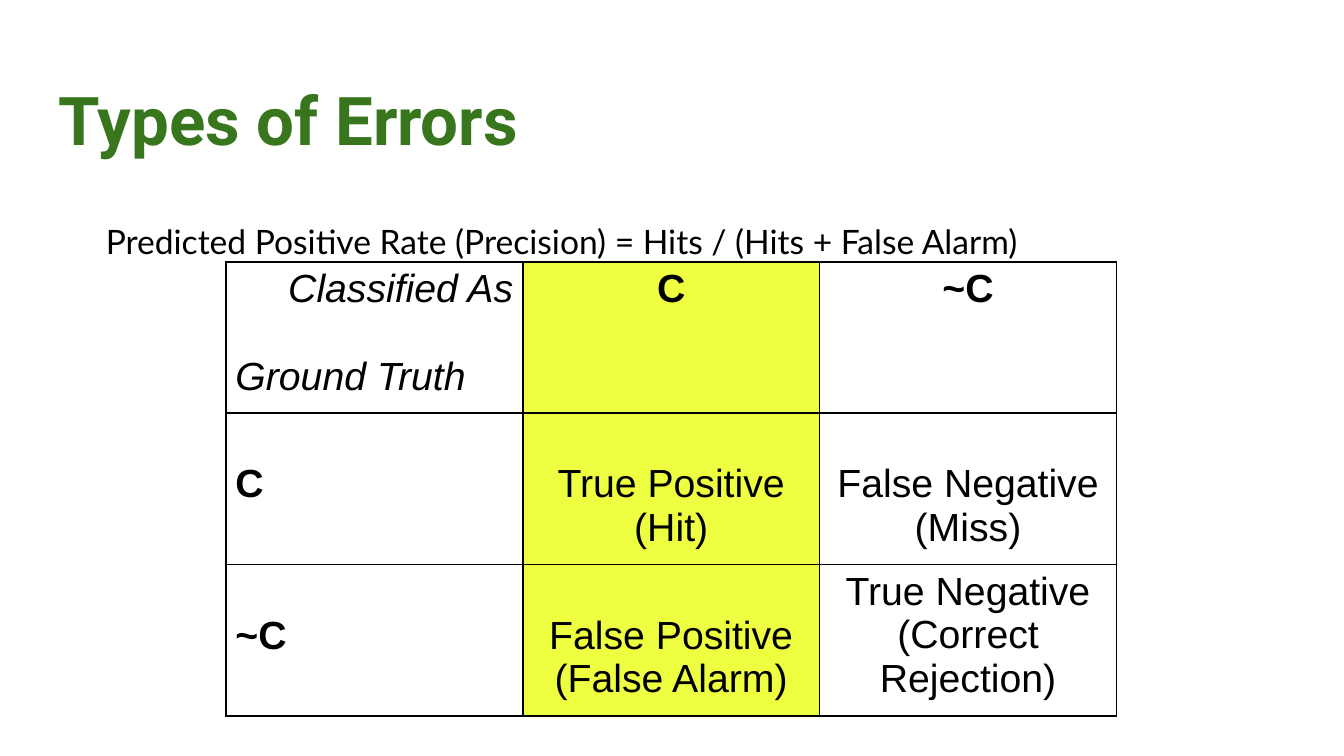
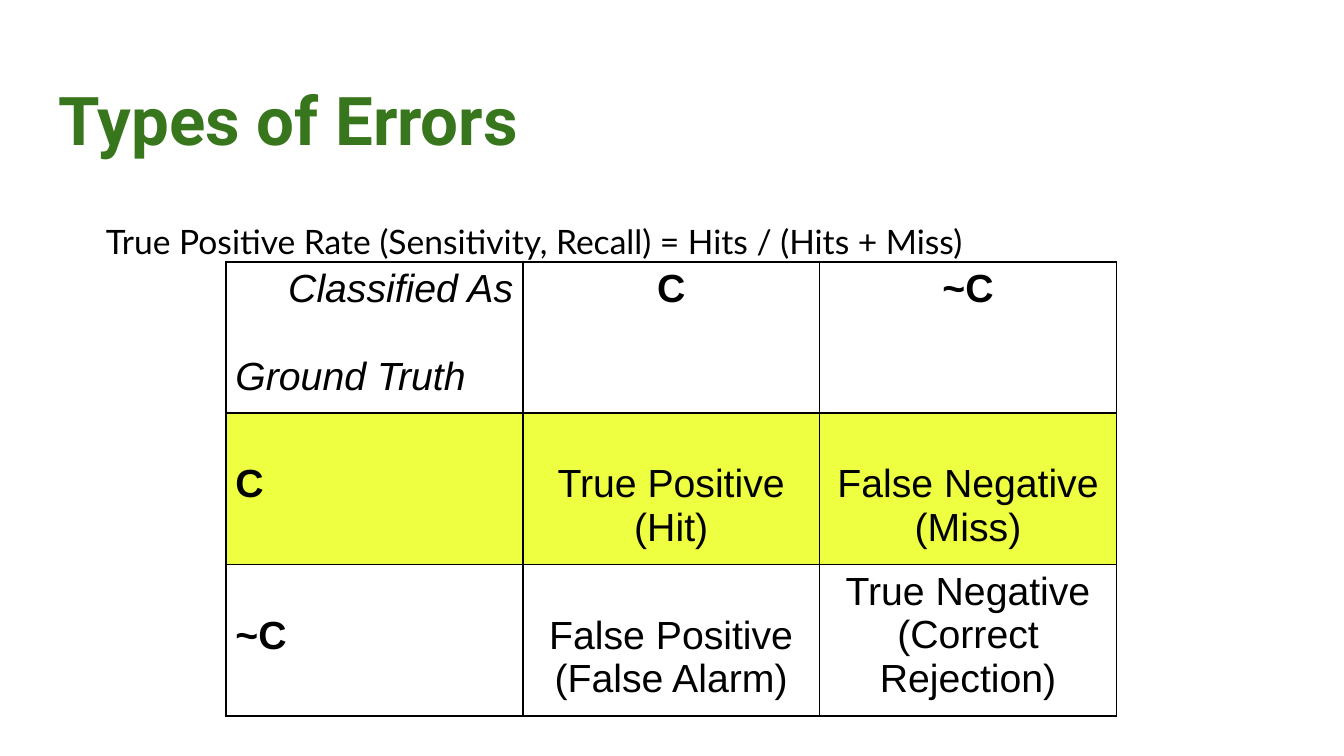
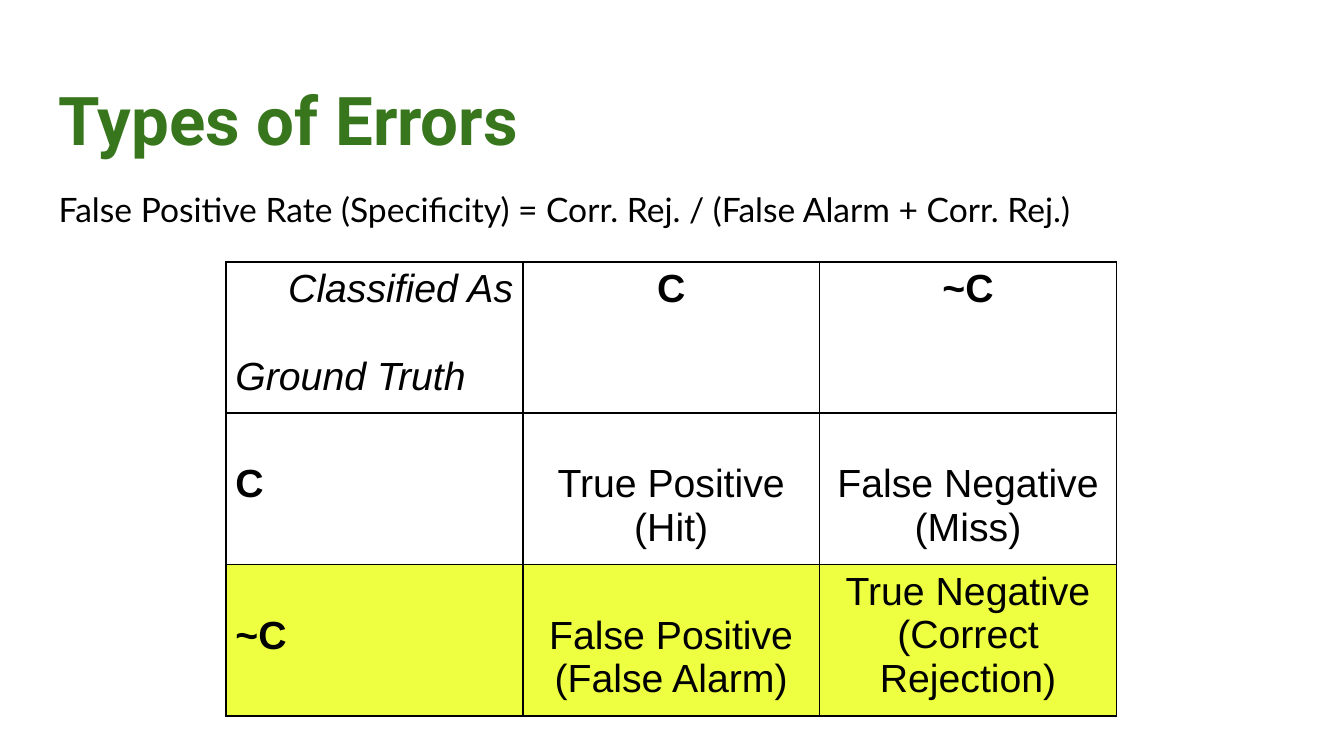
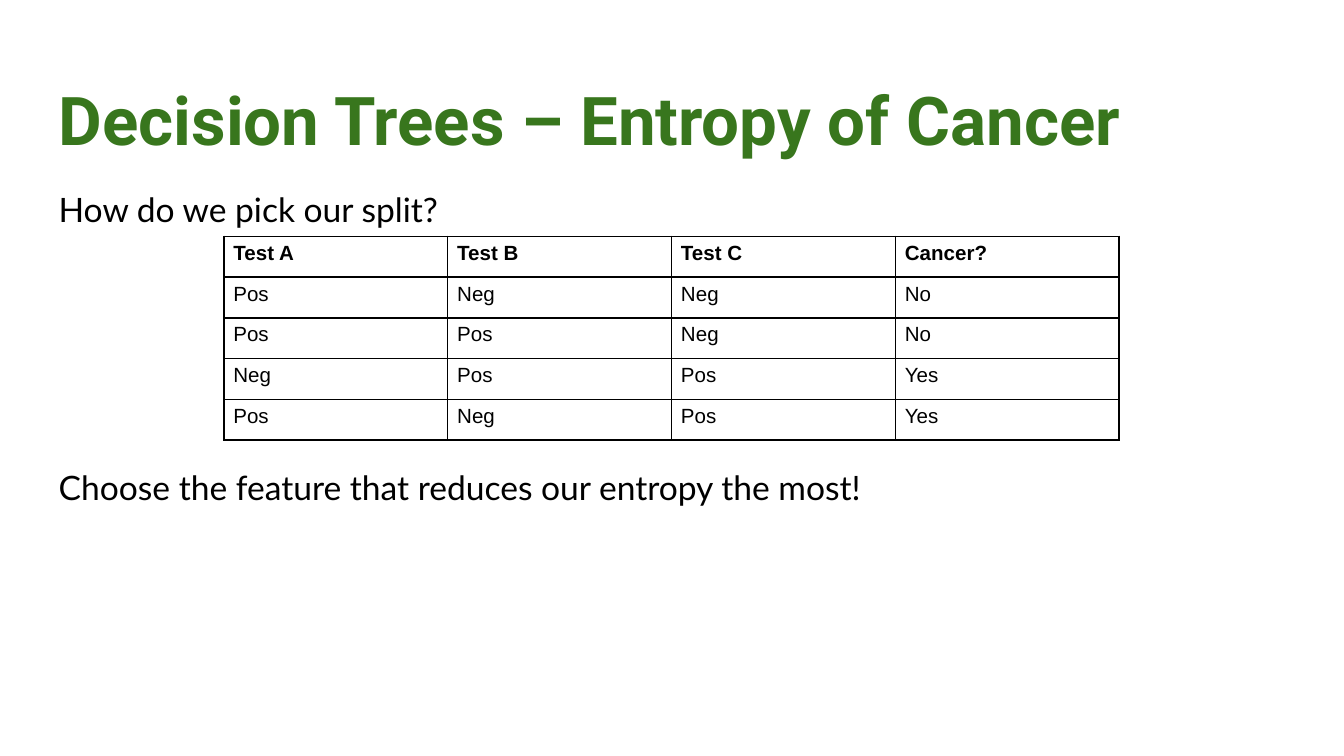
from lxml.etree import SubElement
from pptx import Presentation
from pptx.dml.color import RGBColor
from pptx.enum.text import MSO_ANCHOR, PP_ALIGN as ALIGN
from pptx.oxml.ns import qn
from pptx.util import Cm, Pt

GREEN = RGBColor(0x38, 0x76, 0x1D)
BLACK = RGBColor(0x00, 0x00, 0x00)
WHITE = RGBColor(0xFF, 0xFF, 0xFF)
YELLOW = RGBColor(0xEE, 0xFF, 0x41)

TITLE_BOX = (0.86, 1.24, 23.67, 1.6)
WIDE_BODY = (0.86, 3.2, 23.67, 9.5)
INSET_BODY = (1.75, 3.81, 21.89, 10.49)

CELL_SIDE, CELL_EDGE = 0.18, 0.1
OUTCOME_SIZE = 21
OUTCOME_LINE = 23.6

OUTCOMES = [
    ["Classified As\nGround Truth", "C", "~C"],
    ["C", "True Positive\n(Hit)", "False Negative\n(Miss)"],
    ["~C", "False Positive\n(False Alarm)", "True Negative\n(Correct Rejection)"],
]
PREDICTED_C = {(row, 1) for row in range(3)}
ACTUAL_C = {(1, column) for column in range(3)}
ACTUAL_NOT_C = {(2, column) for column in range(3)}

ERROR_RATES = [
    ("Predicted Positive Rate (Precision) = Hits / (Hits + False Alarm)",
     INSET_BODY, PREDICTED_C),
    ("True Positive Rate (Sensitivity, Recall) = Hits / (Hits + Miss)",
     INSET_BODY, ACTUAL_C),
    ("False Positive Rate (Specificity) = Corr. Rej. / (False Alarm + Corr. Rej.)",
     WIDE_BODY, ACTUAL_NOT_C),
]

CANCER_TESTS = [
    ["Test A", "Test B", "Test C", "Cancer?"],
    ["Pos", "Neg", "Neg", "No"],
    ["Pos", "Pos", "Neg", "No"],
    ["Neg", "Pos", "Pos", "Yes"],
    ["Pos", "Neg", "Pos", "Yes"],
]


def style_runs(frame, font_name, size, color, bold=False, italic=False):
    """Format every run of a text frame alike."""
    for paragraph in frame.paragraphs:
        for run in paragraph.runs:
            font = run.font
            font.name, font.size = font_name, Pt(size)
            font.bold, font.italic = bold, italic
            font.color.rgb = color


def add_text(slide, text, box):
    """Add a wrapping text box with even insets and return its frame."""
    frame = slide.shapes.add_textbox(*map(Cm, box)).text_frame
    frame.word_wrap = True
    frame.vertical_anchor = MSO_ANCHOR.TOP
    frame.margin_left = frame.margin_right = Cm(0.25)
    frame.margin_top = frame.margin_bottom = Cm(0.25)
    frame.text = text
    return frame


def add_titled_slide(deck, title):
    """Add a blank slide with the shared green title."""
    slide = deck.slides.add_slide(deck.slide_layouts[6])
    style_runs(add_text(slide, title, TITLE_BOX), "Roboto", 36, GREEN, bold=True)
    return slide


def add_body(slide, text, box):
    """Add body text and return its paragraphs."""
    frame = add_text(slide, text, box)
    style_runs(frame, "Lato", 18, BLACK)
    for paragraph in frame.paragraphs:
        paragraph.line_spacing = 1.15
    return frame.paragraphs


def add_borders(cell):
    """Draw a thin black line on all four sides of a cell."""
    properties = cell._tc.get_or_add_tcPr()
    for side in ("a:lnL", "a:lnR", "a:lnT", "a:lnB"):
        line = SubElement(properties, qn(side), w=str(Pt(1)))
        fill = SubElement(line, qn("a:solidFill"))
        SubElement(fill, qn("a:srgbClr"), val=str(BLACK))


def add_grid(slide, rows, corner, column_width, row_height):
    """Add a bordered table of plain texts and return it."""
    left, top = corner
    grid = slide.shapes.add_table(
        len(rows), len(rows[0]), Cm(left), Cm(top),
        Cm(column_width * len(rows[0])), Cm(row_height * len(rows))).table
    grid.first_row = grid.horz_banding = False
    for column in grid.columns:
        column.width = Cm(column_width)
    for row_index, texts in enumerate(rows):
        grid.rows[row_index].height = Cm(row_height)
        for column_index, text in enumerate(texts):
            cell = grid.cell(row_index, column_index)
            cell.text = text
            cell.margin_left = cell.margin_right = Cm(CELL_SIDE)
            cell.margin_top = cell.margin_bottom = Cm(CELL_EDGE)
            add_borders(cell)
    return grid


def add_outcome_table(slide, highlighted):
    """Add the confusion matrix with the given cells in yellow."""
    grid = add_grid(slide, OUTCOMES, (4.27, 4.95), 5.61, 2.86)
    for row in range(3):
        for column in range(3):
            cell = grid.cell(row, column)
            is_corner = row == column == 0
            is_heading = not is_corner and 0 in (row, column)
            style_runs(cell.text_frame, "Arial", OUTCOME_SIZE, BLACK,
                       bold=is_heading, italic=is_corner)
            for paragraph in cell.text_frame.paragraphs:
                paragraph.alignment = ALIGN.CENTER if column else ALIGN.LEFT
            if row and (row, column) != (2, 2):
                cell.margin_top = Cm(CELL_EDGE) + Pt(OUTCOME_LINE)
            if (row, column) in highlighted:
                cell.fill.solid()
                cell.fill.fore_color.rgb = YELLOW
            else:
                cell.fill.background()
    classified, truth = grid.cell(0, 0).text_frame.paragraphs
    classified.alignment = ALIGN.RIGHT
    truth.space_before = Pt(OUTCOME_LINE)


def add_test_table(slide):
    """Add the table of test results with a bold heading row."""
    grid = add_grid(slide, CANCER_TESTS, (4.23, 4.47), 4.23, 0.77)
    for index, row in enumerate(grid.rows):
        for cell in row.cells:
            style_runs(cell.text_frame, "Arial", 11, BLACK, bold=index == 0)
            cell.fill.solid()
            cell.fill.fore_color.rgb = WHITE


def main():
    """Build and save the four slides."""
    deck = Presentation()
    deck.slide_width, deck.slide_height = Cm(25.4), Cm(14.29)

    for formula, box, highlighted in ERROR_RATES:
        slide = add_titled_slide(deck, "Types of Errors")
        add_body(slide, formula, box)
        add_outcome_table(slide, highlighted)

    slide = add_titled_slide(deck, "Decision Trees – Entropy of Cancer")
    question, answer = add_body(
        slide,
        "How do we pick our split?\n"
        "Choose the feature that reduces our entropy the most!",
        WIDE_BODY)
    answer.space_before = Pt(124.2)
    add_test_table(slide)

    deck.save("out.pptx")


if __name__ == "__main__":
    main()
